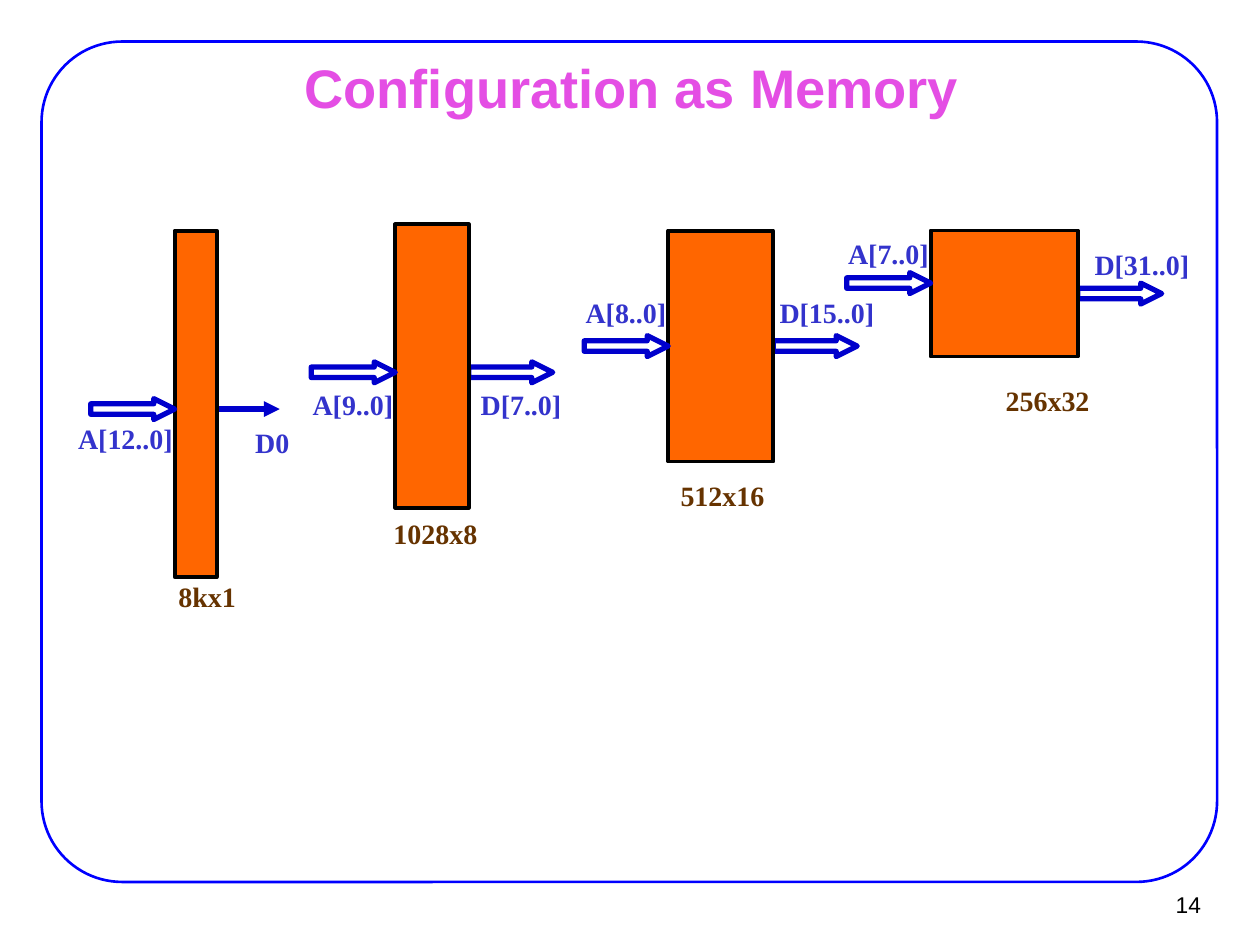
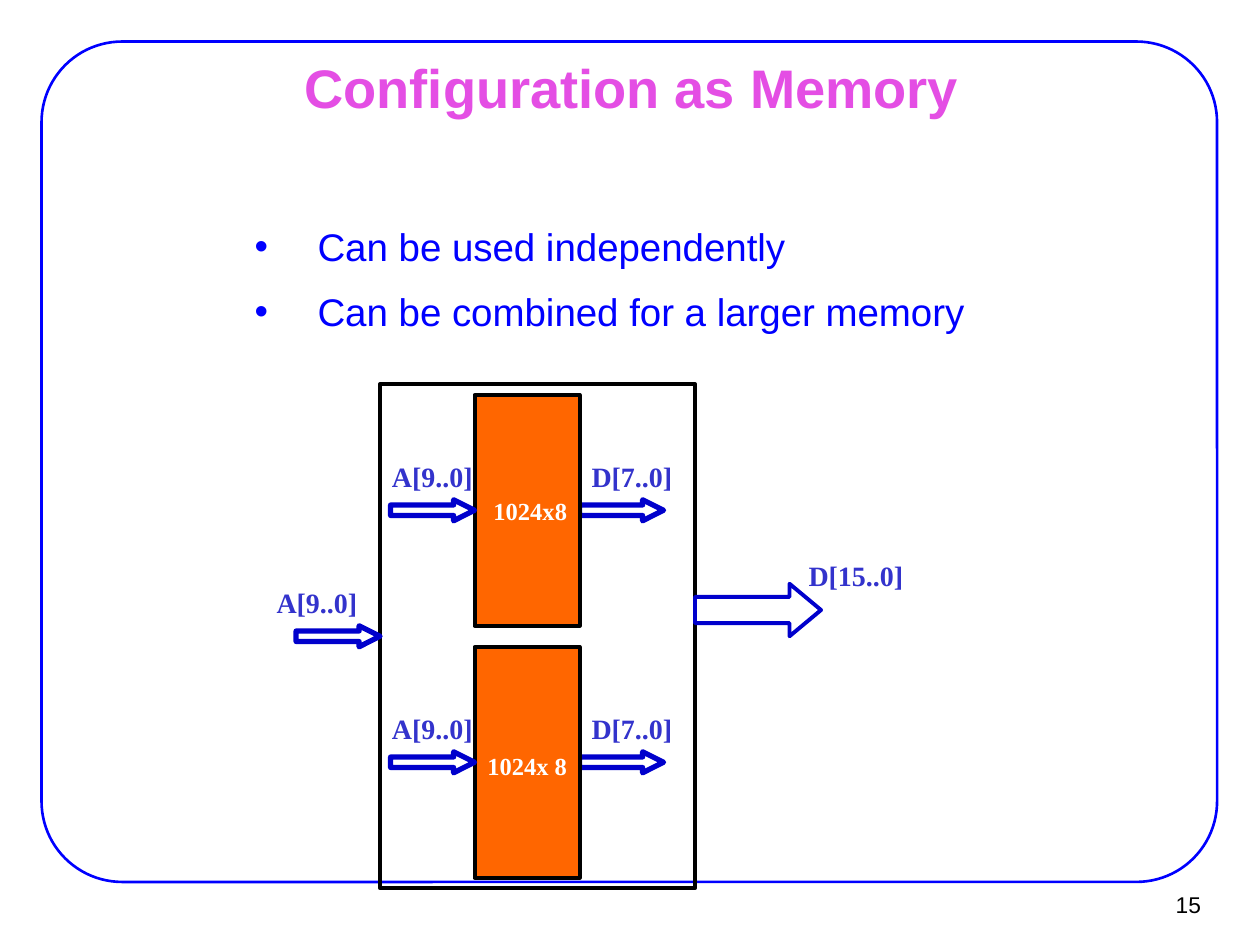
"""Build two slides on configuring embedded blocks as memory."""
import lxml.etree
import pptx
import pptx.dml.color
import pptx.enum.shapes
import pptx.enum.text
import pptx.oxml.ns
import pptx.util

RGBColor = pptx.dml.color.RGBColor
Inches = pptx.util.Inches
Pt = pptx.util.Pt
Shape = pptx.enum.shapes.MSO_SHAPE
Align = pptx.enum.text.PP_ALIGN
Anchor = pptx.enum.text.MSO_ANCHOR
qn = pptx.oxml.ns.qn

BLACK = RGBColor(0x00, 0x00, 0x00)
WHITE = RGBColor(0xFF, 0xFF, 0xFF)
BLUE = RGBColor(0x00, 0x00, 0xFF)
BUS_BLUE = RGBColor(0x00, 0x00, 0xCC)
SIGNAL_BLUE = RGBColor(0x33, 0x33, 0xCC)
ORANGE = RGBColor(0xFF, 0x66, 0x00)
BROWN = RGBColor(0x66, 0x33, 0x00)
PINK = RGBColor(0xE4, 0x4E, 0xE4)

TITLE = "Configuration as Memory"
BULLETS = ["Can be used independently", "Can be combined for a larger memory"]
FIRST_NUMBER = 14

CELL = 1 / 12
BUS_LENGTH, BUS_HEIGHT = 8, 2
LABEL_WIDTH, LABEL_HEIGHT = 13, 4.4
ADDRESS_LABEL_OFFSET = -12

TITLE_FONT = {"name": "Arial", "size": Pt(31), "bold": True}
BODY_FONT = {"name": "Arial", "size": Pt(22), "bold": False}
NUMBER_FONT = {"name": "Arial", "size": Pt(13), "bold": False}
LABEL_FONT = {"name": "Times New Roman", "size": Pt(16), "bold": True}
INNER_FONT = {**LABEL_FONT, "size": Pt(14)}

SIZE_BELOW = {"font": LABEL_FONT, "color": BROWN}
SIZE_INSIDE = {"font": INNER_FONT, "color": WHITE}

# Cores are (column, row, columns, rows); signals are (text, bus row, label row).
SINGLE_ORIGIN = (0.72, 1.83)
SINGLE_MEMORIES = [
    {"core": (8, 0, 4, 33), "address": ("A[12..0]", 16, 17.6),
     "data": ("D0", 16, 18), "data_offset": -4.9, "single_bit": True,
     "size": ("8kx1", 2, 32.6, 13), "size_style": SIZE_BELOW},
    {"core": (29, -0.6, 7, 27), "address": ("A[9..0]", 12.5, 14.4),
     "data": ("D[7..0]", 12.5, 14.4), "data_offset": -3,
     "size": ("1028x8", 26, 26.6, 12), "size_style": SIZE_BELOW},
    {"core": (55, 0, 10, 22), "address": ("A[8..0]", 10, 5.6),
     "data": ("D[15..0]", 10, 5.6), "data_offset": -2.2,
     "size": ("512x16", 55, 23, 17),
     "size_style": {**SIZE_BELOW, "align": Align.LEFT}},
    {"core": (80, 0, 14, 12), "address": ("A[7..0]", 4, 0),
     "data": ("D[31..0]", 5, 1), "data_offset": -1.2,
     "size": ("256x32", 83, 14, 13.3), "size_style": SIZE_BELOW},
]

COMBINED_ORIGIN = (2.35, 3.05)
COMBINED_OUTLINE = (8, 0, 30, 48)
COMBINED_MEMORIES = [
    {"core": (17, top, 10, 22), "address": ("A[9..0]", top + 10, top + 5.6),
     "data": ("D[7..0]", top + 10, top + 5.6), "data_offset": -3,
     "size": (text, 16, row, 11), "size_style": SIZE_INSIDE}
    for top, text, row in [(1, "1024x8", 10), (25, "1024x 8", 34.3)]
]


def assign(target, values):
    for name, value in values.items():
        setattr(target, name, value)


def write(frame, lines, font, color, align, **frame_format):
    """Fill a text frame with equally formatted paragraphs."""
    frame.text = "\n".join(lines)
    assign(frame, {"word_wrap": True,
                   "auto_size": pptx.enum.text.MSO_AUTO_SIZE.NONE, **frame_format})
    for index, para in enumerate(frame.paragraphs):
        assign(para, {"alignment": align, "space_before": font["size"] // 2 if index else 0})
        assign(para.font, font)
        para.font.color.rgb = color


def place(shape, left, top, width, height):
    assign(shape, {"left": Inches(left), "top": Inches(top),
                   "width": Inches(width), "height": Inches(height)})


def outline(page, kind, area, color, weight, fill=None, adjustments=()):
    shape = page.shapes.add_shape(kind, *map(Inches, area))
    shape.shadow.inherit = False
    if fill is None:
        shape.fill.background()
    else:
        shape.fill.solid()
        shape.fill.fore_color.rgb = fill
    shape.line.color.rgb = color
    shape.line.width = Pt(weight)
    for index, value in enumerate(adjustments):
        shape.adjustments[index] = value
    return shape


class Diagram:
    """Draw memory blocks on a grid that starts at an origin."""

    def __init__(self, page, origin):
        self.page = page
        self.origin = origin

    def area(self, column, row, columns, rows):
        left, top = self.origin
        return left + column * CELL, top + row * CELL, columns * CELL, rows * CELL

    def block(self, cells, fill=None):
        outline(self.page, Shape.RECTANGLE, self.area(*cells), BLACK, 2.25, fill)

    def bus(self, column, row, columns=BUS_LENGTH, rows=BUS_HEIGHT, weight=3, head=1):
        outline(self.page, Shape.RIGHT_ARROW, self.area(column, row, columns, rows),
                BUS_BLUE, weight, adjustments=(0.5, head))

    def wire(self, column, row, columns):
        left, top, width, _ = self.area(column, row, columns, 0)
        line = self.page.shapes.add_connector(
            pptx.enum.shapes.MSO_CONNECTOR.STRAIGHT,
            *map(Inches, (left, top, left + width, top)))
        line.line.color.rgb = BUS_BLUE
        line.line.width = Pt(3)
        properties = line._element.spPr
        lxml.etree.SubElement(properties.find(qn("a:ln")), qn("a:tailEnd"), type="triangle")
        lxml.etree.SubElement(properties, qn("a:effectLst"))

    def label(self, text, column, row, columns=LABEL_WIDTH,
              font=LABEL_FONT, color=SIGNAL_BLUE, align=Align.RIGHT):
        area = self.area(column, row, columns, LABEL_HEIGHT)
        box = self.page.shapes.add_textbox(*map(Inches, area))
        write(box.text_frame, [text], font, color, align)

    def memory(self, item):
        left, _, width, _ = item["core"]
        right = left + width
        address, address_row, address_label_row = item["address"]
        data, data_row, data_label_row = item["data"]
        if item.get("single_bit"):
            self.wire(right, data_row + BUS_HEIGHT / 2, 6)
        else:
            self.bus(right, data_row)
        self.block(item["core"], ORANGE)
        self.bus(left - BUS_LENGTH, address_row)
        self.label(address, left + ADDRESS_LABEL_OFFSET, address_label_row)
        self.label(data, right + item["data_offset"], data_label_row)
        self.label(*item["size"], **item["size_style"])


def add_page(deck, layout, number):
    page = deck.slides.add_slide(deck.slide_layouts.get_by_name(layout))
    place(page.shapes.title, 0.76, 0.44, 8.5, 0.49)
    write(page.shapes.title.text_frame, [TITLE], TITLE_FONT, PINK, Align.CENTER,
          vertical_anchor=Anchor.MIDDLE, margin_top=Inches(0.06), margin_bottom=Inches(0.06))
    box = page.shapes.add_textbox(*map(Inches, (9.02, 6.99, 0.61, 0.37)))
    write(box.text_frame, [str(number)], NUMBER_FONT, BLACK, Align.RIGHT,
          vertical_anchor=Anchor.MIDDLE)
    return page


def add_master_frame(deck, page):
    frame = outline(page, Shape.ROUNDED_RECTANGLE, (0.33, 0.33, 9.33, 6.67),
                    BLUE, 1.5, adjustments=(0.096,))
    deck.slide_master.shapes[0]._element.addprevious(frame._element)


def add_bullets(page):
    body = page.placeholders[1]
    place(body, 1.92, 1.72, 6.42, 1.03)
    write(body.text_frame, BULLETS, BODY_FONT, BLUE, Align.LEFT)
    for para in body.text_frame.paragraphs:
        assign_indent = para._p.get_or_add_pPr().set
        assign_indent("marL", str(Inches(0.5)))
        assign_indent("indent", str(Inches(-0.5)))


def main():
    deck = pptx.Presentation()
    assign(deck, {"slide_width": Inches(10), "slide_height": Inches(7.5)})

    single = add_page(deck, "Title Only", FIRST_NUMBER)
    add_master_frame(deck, single)
    diagram = Diagram(single, SINGLE_ORIGIN)
    for item in SINGLE_MEMORIES:
        diagram.memory(item)

    combined = add_page(deck, "Title and Content", FIRST_NUMBER + 1)
    add_bullets(combined)
    diagram = Diagram(combined, COMBINED_ORIGIN)
    for item in COMBINED_MEMORIES:
        diagram.memory(item)
    diagram.block(COMBINED_OUTLINE)
    diagram.bus(38, 19, 12, 5, weight=2.25, head=0.6)
    diagram.label("D[15..0]", 46, 16)
    diagram.bus(0, 23)
    diagram.label("A[9..0]", -6, 18.6)

    deck.save("out.pptx")


if __name__ == "__main__":
    main()
